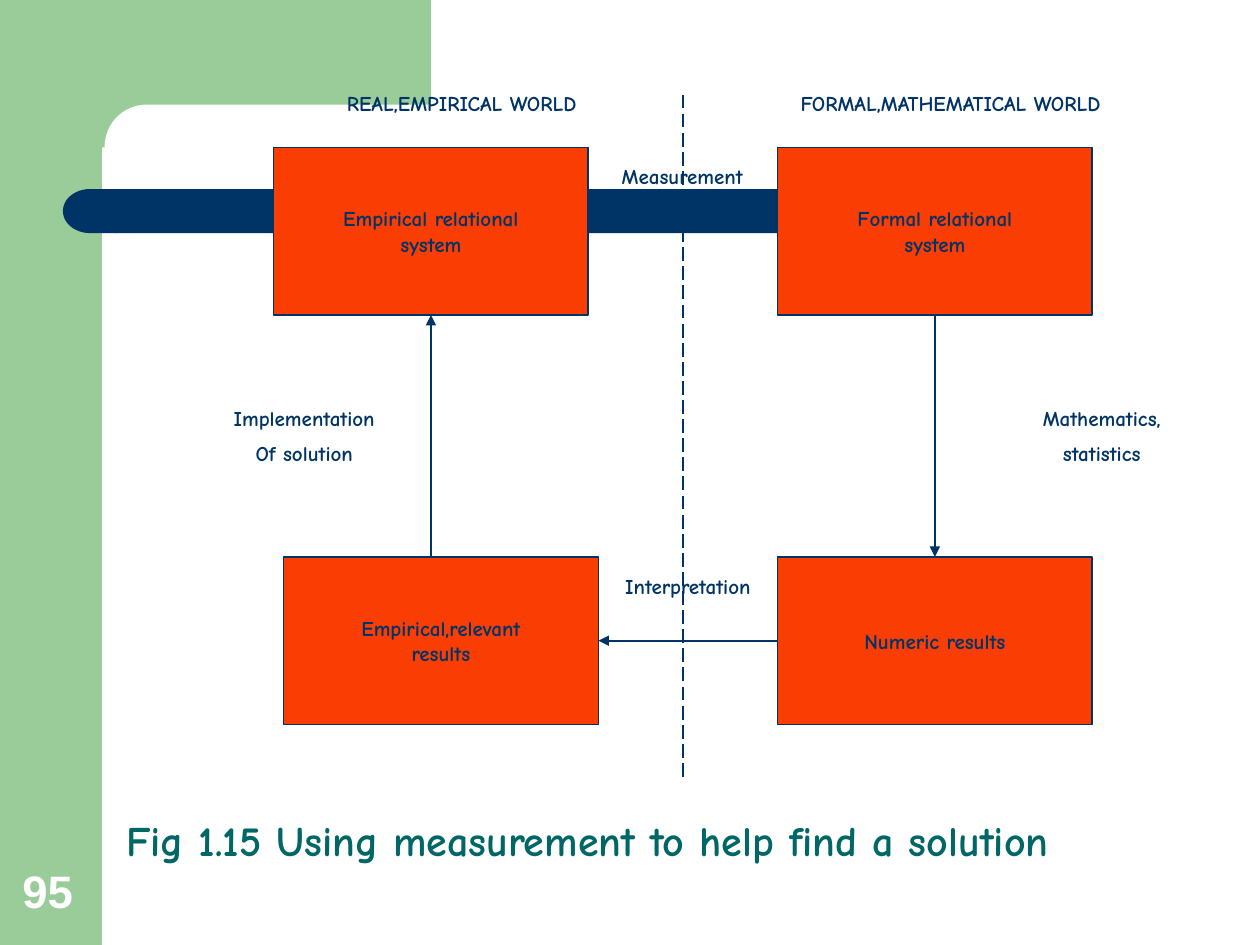
from lxml import etree
from pptx import Presentation
from pptx import util as u
from pptx.dml.color import RGBColor
from pptx.enum import dml, shapes, text
from pptx.oxml.ns import qn

GREEN = RGBColor(0x99, 0xCC, 0x99)
NAVY = RGBColor(0x00, 0x33, 0x66)
TEAL = RGBColor(0x00, 0x66, 0x66)
ORANGE = RGBColor(0xFA, 0x3D, 0x02)
WHITE = RGBColor(0xFF, 0xFF, 0xFF)
FONT = "Comic Neue"
BOX_WIDTH, BOX_HEIGHT = 2.5, 1.33
TOP_ROW, BOTTOM_ROW = 1.17, 4.42

TOP, LEFT, BOTTOM, RIGHT = range(4)  # connection sites of a rectangle


def inches(*values):
    return [u.Inches(value) for value in values]


def format_text(text_frame, size, color, name=FONT, align=None):
    for paragraph in text_frame.paragraphs:
        paragraph.alignment = align
        for run in paragraph.runs:
            run.font.size = u.Pt(size)
            run.font.name = name
            run.font.bold = True
            run.font.color.rgb = color


def add_panel(slide, kind, place, fill, rounding=None):
    shape = slide.shapes.add_shape(kind, *inches(*place))
    shape.shadow.inherit = False
    shape.fill.solid()
    shape.fill.fore_color.rgb = fill
    shape.line.fill.background()
    if rounding is not None:
        shape.adjustments[0] = rounding
    return shape


def add_box(slide, left, top, words):
    shape = add_panel(slide, shapes.MSO_SHAPE.RECTANGLE,
                      (left, top, BOX_WIDTH, BOX_HEIGHT), ORANGE)
    shape.line.color.rgb = NAVY
    shape.line.width = u.Pt(1)
    frame = shape.text_frame
    frame.word_wrap = False
    frame.vertical_anchor = text.MSO_ANCHOR.MIDDLE
    frame.text = words
    format_text(frame, 12, NAVY, align=text.PP_ALIGN.CENTER)
    return shape


def add_label(slide, place, words):
    frame = slide.shapes.add_textbox(*inches(*place)).text_frame
    frame.word_wrap = True
    frame.text = words
    format_text(frame, 12, NAVY, align=text.PP_ALIGN.CENTER)
    for paragraph in frame.paragraphs[1:]:
        paragraph.space_before = u.Pt(5.5)


def add_line(slide, start, end, arrow=True):
    line = slide.shapes.add_connector(shapes.MSO_CONNECTOR.STRAIGHT,
                                      *inches(*start, *end))
    line.line.color.rgb = NAVY
    line.line.width = u.Pt(1)
    if arrow:
        etree.SubElement(line.line._get_or_add_ln(), qn("a:tailEnd"), type="triangle")
    else:
        line.line.dash_style = dml.MSO_LINE.LONG_DASH
    etree.SubElement(line._element.spPr, qn("a:effectLst"))
    return line


def add_background(slide):
    kinds = shapes.MSO_SHAPE
    add_panel(slide, kinds.RECTANGLE, (0, 0, 0.81, 7.5), GREEN)
    add_panel(slide, kinds.RECTANGLE, (0.73, 0, 2.69, 1.17), GREEN)
    add_panel(slide, kinds.ROUNDED_RECTANGLE, (0.83, 0.83, 5.58, 0.67), WHITE, 0.5)
    add_panel(slide, kinds.RECTANGLE, (0.92, 1.5, 7.67, 0.35), NAVY)
    cap = add_panel(slide, kinds.FLOWCHART_DELAY, (0.5, 1.5, 0.43, 0.35), NAVY)
    cap._element.spPr.xfrm.set("flipH", "1")


def add_title(slide, words):
    title = slide.shapes.title
    title.left, title.top, title.width, title.height = inches(0.9, 6.42, 8.85, 0.5)
    frame = title.text_frame
    frame.text = words
    frame.auto_size = text.MSO_AUTO_SIZE.NONE
    frame.vertical_anchor = text.MSO_ANCHOR.BOTTOM
    frame.paragraphs[0].line_spacing = 0.9
    format_text(frame, 24, TEAL, align=text.PP_ALIGN.LEFT)


def add_page_number(slide, number):
    frame = slide.shapes.add_textbox(*inches(0.08, 6.8, 0.64, 0.53)).text_frame
    frame.word_wrap = True
    frame.vertical_anchor = text.MSO_ANCHOR.BOTTOM
    frame.text = number
    format_text(frame, 26, WHITE, "Arial")


def main():
    presentation = Presentation()
    presentation.slide_width, presentation.slide_height = inches(10, 7.5)
    slide = presentation.slides.add_slide(presentation.slide_layouts[5])

    add_background(slide)
    add_page_number(slide, "95")
    add_title(slide, "Fig 1.15 Using measurement to help find a solution")

    # The four stages
    empirical = add_box(slide, 2.17, TOP_ROW, "Empirical relational\nsystem")
    numeric = add_box(slide, 6.17, BOTTOM_ROW, "Numeric results")
    formal = add_box(slide, 6.17, TOP_ROW, "Formal relational\nsystem")
    relevant = add_box(slide, 2.25, BOTTOM_ROW, "Empirical,relevant\nresults")

    # The cycle of arrows
    add_line(slide, (4.67, 1.75), (6.17, 1.75))
    mathematics = add_line(slide, (7.42, 2.5), (7.42, 4.42))
    mathematics.begin_connect(formal, BOTTOM)
    mathematics.end_connect(numeric, TOP)
    interpretation = add_line(slide, (6.17, 5.08), (4.75, 5.08))
    interpretation.begin_connect(numeric, LEFT)
    interpretation.end_connect(relevant, RIGHT)
    implementation = add_line(slide, (3.42, 4.42), (3.42, 2.5))
    implementation.end_connect(empirical, BOTTOM)

    # Headings and arrow labels
    for place, words in [
        ((2.33, 0.67, 2.67, 0.3), "REAL,EMPIRICAL WORLD"),
        ((5.92, 0.67, 3.25, 0.3), "FORMAL,MATHEMATICAL WORLD"),
        ((4.75, 1.25, 1.33, 0.3), "Measurement"),
        ((4.75, 4.5, 1.42, 0.3), "Interpretation"),
        ((1.58, 3.17, 1.67, 0.6), "Implementation\nOf solution"),
        ((7.83, 3.17, 1.83, 0.6), "Mathematics,\nstatistics"),
    ]:
        add_label(slide, place, words)

    # Divider between the two worlds
    add_line(slide, (5.42, 0.75), (5.42, 6.17), arrow=False)

    presentation.save("out.pptx")


if __name__ == "__main__":
    main()
